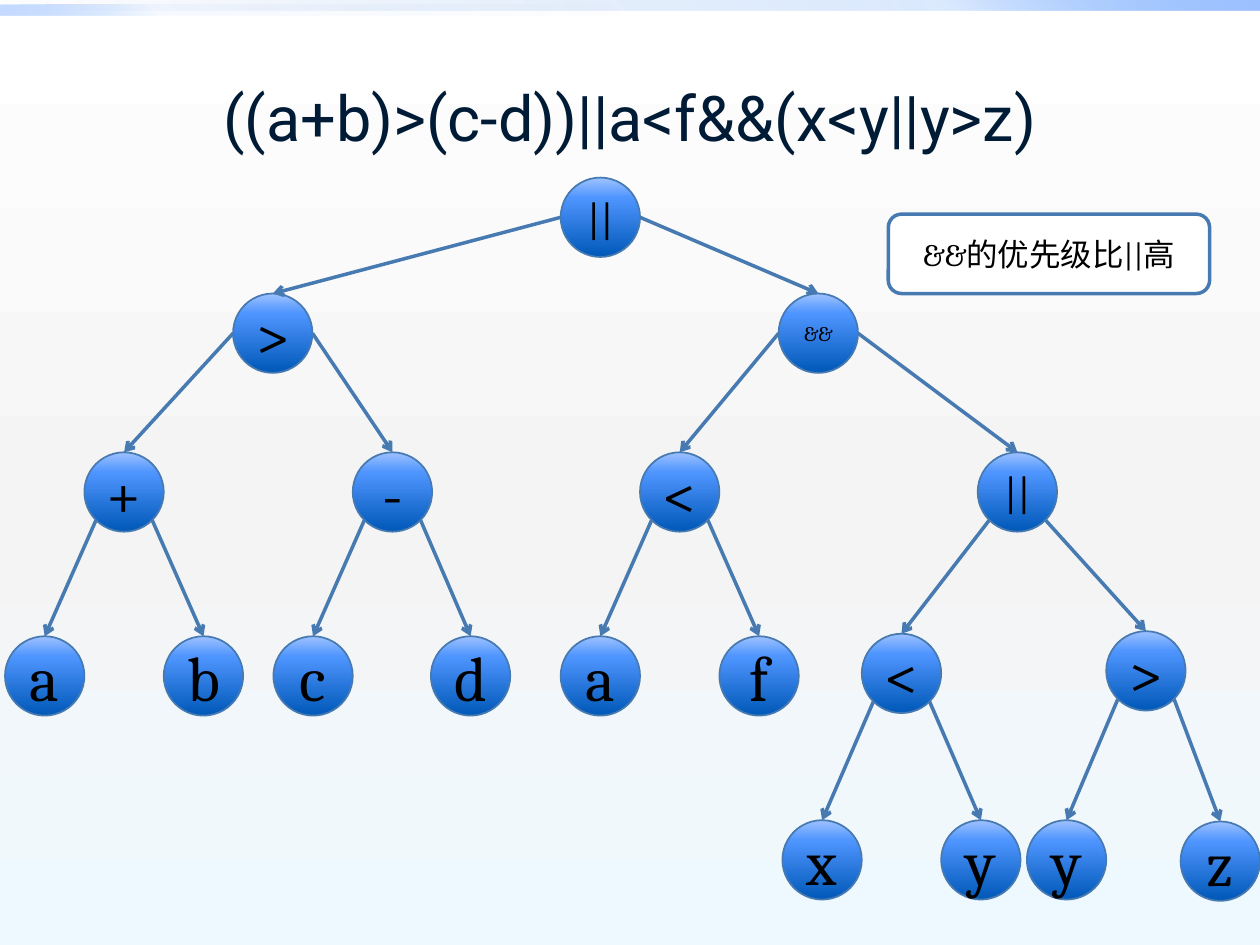
"""Build a slide showing the expression tree of a logical expression."""
from math import sqrt

from lxml import etree
from pptx import Presentation
from pptx.dml.color import RGBColor
from pptx.enum.shapes import MSO_CONNECTOR, MSO_SHAPE
from pptx.enum.text import MSO_ANCHOR, PP_ALIGN
from pptx.oxml.ns import qn
from pptx.util import Inches, Pt

OVAL, RECT, ROUND = MSO_SHAPE.OVAL, MSO_SHAPE.RECTANGLE, MSO_SHAPE.ROUNDED_RECTANGLE
STRAIGHT = MSO_CONNECTOR.STRAIGHT
CENTER, MIDDLE = PP_ALIGN.CENTER, MSO_ANCHOR.MIDDLE

COLORS = {"title": "001B36", "text": "000000", "line": "477AB1", "white": "FFFFFF",
          "dark": "0058B7", "mid": "4F95FF", "light": "9EC2FF",
          "grey": "F4F4F4", "ice": "EEF9FF"}
TITLE = "((a+b)>(c-d))||a<f&&(x<y||y>z)"
NOTE = "&&的优先级比||高"
DIAMETER = 0.63
SIZES = {"||": 24, "&&": 12}

BACKDROP = [(0, "white", 100), (55, "grey", 100), (100, "ice", 100)]
BALL = [(0, "dark", 100), (75, "mid", 100), (100, "light", 100)]
BARS = [
    ((0, 0, 10, 0.08), [(0, "dark", 0), (75, "mid", 20), (100, "light", 100)], 315),
    ((0, 0.04, 5, 0.08), [(0, "dark", 0), (75, "mid", 5), (100, "light", 60)], 135),
]

# name: (label, left, top, parent)
NODES = {
    "or": ("||", 4.45, 1.41, None),
    "greater": (">", 1.85, 2.33, "or"),
    "and": ("&&", 6.18, 2.33, "or"),
    "plus": ("+", 0.67, 3.59, "greater"),
    "minus": ("-", 2.8, 3.59, "greater"),
    "less": ("<", 5.08, 3.59, "and"),
    "inner or": ("||", 7.76, 3.59, "and"),
    "a": ("a", 0.04, 5.05, "plus"),
    "b": ("b", 1.3, 5.05, "plus"),
    "c": ("c", 2.17, 5.05, "minus"),
    "d": ("d", 3.42, 5.05, "minus"),
    "second a": ("a", 4.45, 5.05, "less"),
    "f": ("f", 5.71, 5.05, "less"),
    "inner less": ("<", 6.84, 5.03, "inner or"),
    "inner greater": (">", 8.78, 5.01, "inner or"),
    "x": ("x", 6.21, 6.51, "inner less"),
    "y": ("y", 7.47, 6.51, "inner less"),
    "second y": ("y", 8.15, 6.51, "inner greater"),
    "z": ("z", 9.37, 6.52, "inner greater"),
}
SIDE_EXITS = ("or", "greater", "and")


def color(name):
    return RGBColor.from_string(COLORS[name])


def set_gradient(fill, element, stops, angle):
    fill.gradient()
    gradient = element.find(".//" + qn("a:gradFill"))
    for child in list(gradient):
        gradient.remove(child)
    stop_list = etree.SubElement(gradient, qn("a:gsLst"))
    for position, name, opacity in stops:
        stop = etree.SubElement(stop_list, qn("a:gs"), pos=str(position * 1000))
        tint = etree.SubElement(stop, qn("a:srgbClr"), val=COLORS[name])
        if opacity < 100:
            etree.SubElement(tint, qn("a:alpha"), val=str(opacity * 1000))
    etree.SubElement(gradient, qn("a:lin"), ang=str(angle * 60000), scaled="0")


def set_text(shape, text, size, font, name):
    frame = shape.text_frame
    frame.text = text
    frame.vertical_anchor = MIDDLE
    para = frame.paragraphs[0]
    para.alignment = CENTER
    for span in para.runs:
        span.font.size = Pt(size)
        span.font.name = font
        span.font.color.rgb = color(name)


def add_box(page, kind, place, line_width=0):
    shape = page.shapes.add_shape(kind, *map(Inches, place))
    shape.shadow.inherit = False
    if line_width:
        shape.line.color.rgb = color("line")
        shape.line.width = Pt(line_width)
    else:
        shape.line.fill.background()
    return shape


def add_node(page, label, left, top):
    ball = add_box(page, OVAL, (left, top, DIAMETER, DIAMETER), 1)
    set_gradient(ball.fill, ball.element, BALL, 270)
    ball.text_frame.margin_left = ball.text_frame.margin_right = 0
    set_text(ball, label, SIZES.get(label, 36), "Cambria", "text")
    return ball


def add_branch(page, child, ball):
    _, left, top, parent = NODES[child]
    _, parent_left, parent_top, _ = NODES[parent]
    radius = DIAMETER / 2
    side = -1 if left < parent_left else 1
    across, down = (1, 0) if parent in SIDE_EXITS else (1 / sqrt(2), 1 / sqrt(2))
    start = (parent_left + radius * (1 + side * across), parent_top + radius * (1 + down))
    arrow = page.shapes.add_connector(STRAIGHT, *map(Inches, (*start, left + radius, top)))
    arrow.end_connect(ball, 0)
    arrow.line.color.rgb = color("line")
    arrow.line.width = Pt(2)
    etree.SubElement(arrow.line._get_or_add_ln(), qn("a:tailEnd"), type="arrow")
    etree.SubElement(arrow.element.spPr, qn("a:effectLst"))


def main():
    deck = Presentation()
    deck.slide_width, deck.slide_height = Inches(10), Inches(7.5)
    page = deck.slides.add_slide(deck.slide_layouts[5])
    set_gradient(page.background.fill, page.element, BACKDROP, 90)

    for place, stops, angle in BARS:
        bar = add_box(page, RECT, place)
        set_gradient(bar.fill, bar.element, stops, angle)

    title = page.shapes.title
    title.left, title.top, title.width, title.height = map(Inches, (0.5, 0.3, 9, 1.25))
    set_text(title, TITLE, 36, "Roboto", "title")

    balls = {name: add_node(page, *node[:3]) for name, node in NODES.items()}
    for name, ball in balls.items():
        if NODES[name][3]:
            add_branch(page, name, ball)

    note = add_box(page, ROUND, (7.05, 1.7, 2.55, DIAMETER), 2)
    note.fill.solid()
    note.fill.fore_color.rgb = color("white")
    set_text(note, NOTE, 18, "Cambria", "text")

    deck.save("out.pptx")


main()
